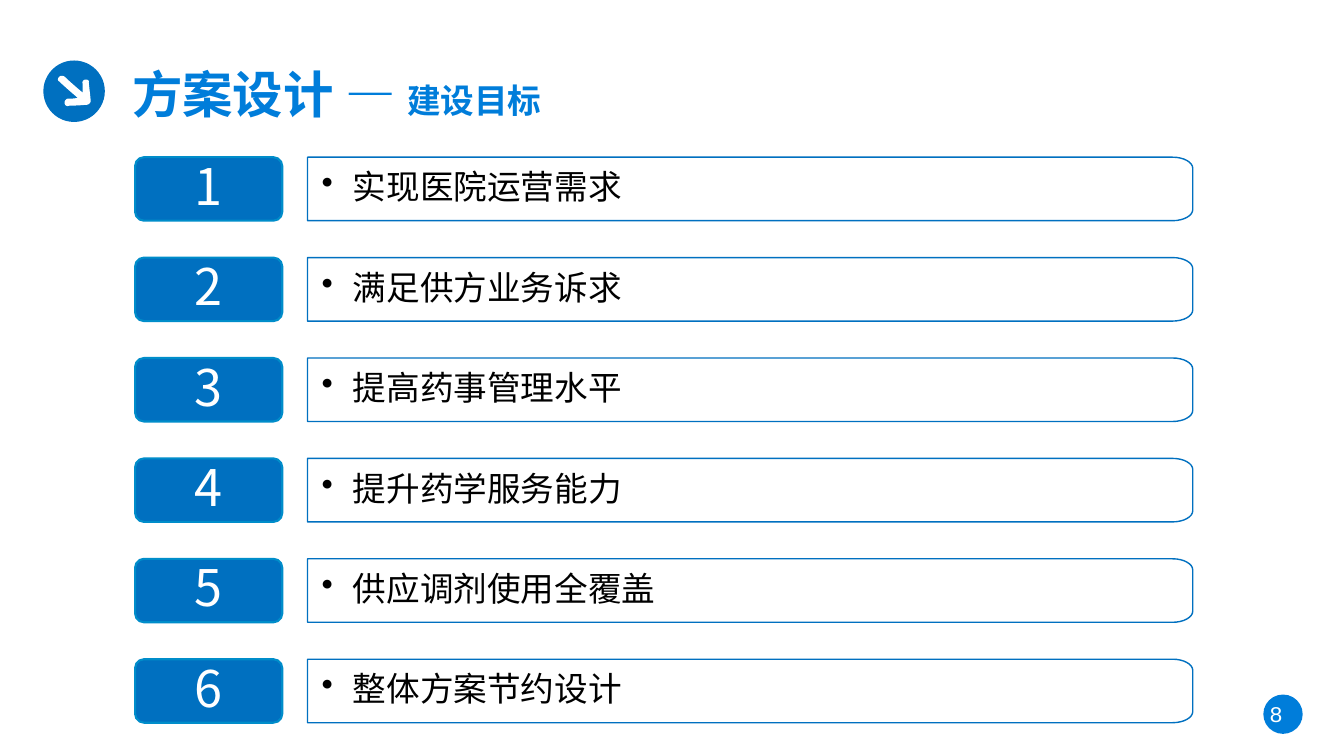
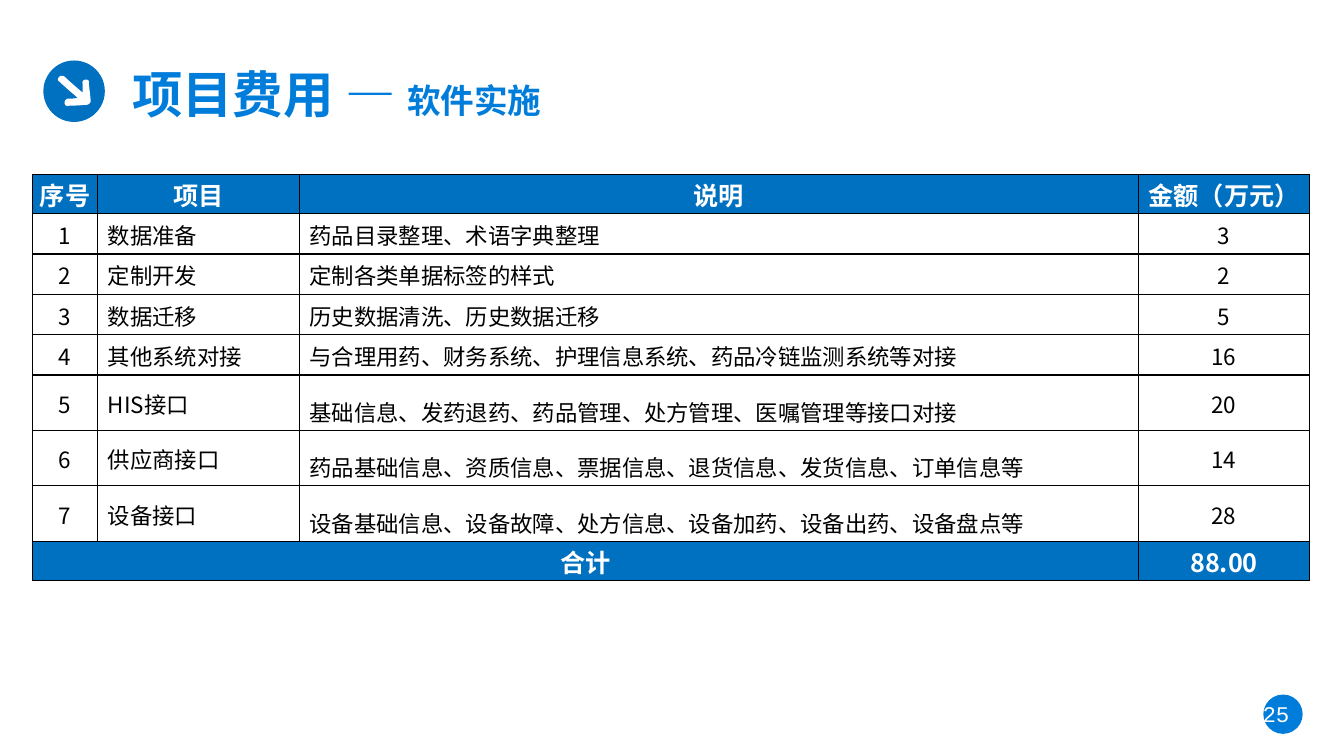
from lxml import etree
from pptx import Presentation
from pptx.dml.color import RGBColor
from pptx.enum import shapes as kinds, text as modes
from pptx.oxml.ns import qn
from pptx.util import Inches, Pt

BLUE, SKY, EDGE = "0070C0", "007DDA", "008DCA"
WHITE, BLACK = "FFFFFF", "000000"
SANS, HEAD, MONO = "Noto Sans CJK SC", "Calibri", "Courier New"
LEFT, MID = modes.PP_ALIGN.LEFT, modes.PP_ALIGN.CENTER
STEPS = 8

ARROW = [
    (0.82, 0.92), (0.82, 0.92, 0.69, 0.81, 0.64, 0.76),
    (0.62, 0.75, 0.6, 0.75, 0.59, 0.76), (0.57, 0.78, 0.57, 0.8, 0.59, 0.81),
    (0.64, 0.86, 0.77, 0.97, 0.77, 0.97), (0.77, 0.97, 0.75, 0.98, 0.67, 0.98),
    (0.66, 0.98, 0.64, 1, 0.64, 1.02), (0.64, 1.04, 0.66, 1.06, 0.68, 1.05),
    (0.74, 1.05, 0.86, 1.04, 0.86, 1.04), (0.88, 1.04, 0.9, 1.02, 0.9, 1),
    (0.9, 1, 0.89, 0.9, 0.88, 0.82), (0.89, 0.8, 0.87, 0.79, 0.85, 0.79),
    (0.83, 0.79, 0.81, 0.81, 0.82, 0.83), (0.82, 0.89, 0.82, 0.92, 0.82, 0.92),
]
GOALS = ["实现医院运营需求", "满足供方业务诉求", "提高药事管理水平",
         "提升药学服务能力", "供应调剂使用全覆盖", "整体方案节约设计"]
COSTS = [
    ("序号", "项目", "说明", "金额（万元）"),
    ("1", "数据准备", "药品目录整理、术语字典整理", "3"),
    ("2", "定制开发", "定制各类单据标签的样式", "2"),
    ("3", "数据迁移", "历史数据清洗、历史数据迁移", "5"),
    ("4", "其他系统对接", "与合理用药、财务系统、护理信息系统、药品冷链监测系统等对接", "16"),
    ("5", "HIS接口", "基础信息、发药退药、药品管理、处方管理、医嘱管理等接口对接", "20"),
    ("6", "供应商接口", "药品基础信息、资质信息、票据信息、退货信息、发货信息、订单信息等", "14"),
    ("7", "设备接口", "设备基础信息、设备故障、处方信息、设备加药、设备出药、设备盘点等", "28"),
    ("合计", "", "", "88.00"),
]
WIDTHS = [0.65, 2, 8.32, 1.7]
HEIGHTS = [0.39] + [0.4] * 4 + [0.55] * 3 + [0.39]


def color(code):
    return RGBColor.from_string(code)


def box(*lengths):
    return [Inches(n) for n in lengths]


def write(para, text, size=16, font=SANS, ink=BLACK, bold=False, align=LEFT, space=None):
    """Append one formatted run to a paragraph."""
    para.alignment = align
    if space:
        para.line_spacing = space
    run = para.add_run()
    run.text = text
    face = run.font
    face.name, face.size, face.bold = font, Pt(size), bold
    face.color.rgb = color(ink)
    east = etree.SubElement(run._r.get_or_add_rPr(), qn("a:ea"))
    east.set("typeface", SANS)


def inset(frame, left, top, right, bottom):
    frame.margin_left, frame.margin_top = Inches(left), Inches(top)
    frame.margin_right, frame.margin_bottom = Inches(right), Inches(bottom)


def paint(shape, fill, line=None, width=1):
    shape.shadow.inherit = False
    shape.fill.solid()
    shape.fill.fore_color.rgb = color(fill)
    if line:
        shape.line.color.rgb = color(line)
        shape.line.width = Pt(width)
    else:
        shape.line.fill.background()


def curve(start, seg):
    """Points along a cubic curve whose two handles and end are in seg."""
    ends = [start, seg[:2], seg[2:4], seg[4:]]
    for i in range(1, STEPS + 1):
        t = i / STEPS
        parts = [(1 - t) ** 3, 3 * t * (1 - t) ** 2, 3 * t * t * (1 - t), t ** 3]
        yield tuple(sum(w * p[axis] for w, p in zip(parts, ends)) for axis in (0, 1))


def outline(slide, segs):
    """Closed freeform; a pair is a line end, six numbers are a curve."""
    dots = [segs[0]]
    for seg in segs[1:]:
        dots += [seg] if len(seg) == 2 else list(curve(dots[-1], seg))
    dots = [box(*dot) for dot in dots]
    pen = slide.shapes.build_freeform(*dots[0], scale=1.0)
    pen.add_line_segments(dots[1:], close=True)
    return pen.convert_to_shape()


def disc(slide, left, top, size, fill):
    shape = slide.shapes.add_shape(kinds.MSO_SHAPE.OVAL, *box(left, top, size, size))
    paint(shape, fill)


def frame_slide(deck, title, topic, number):
    """Add a slide with its title, arrow badge and page number."""
    slide = deck.slides.add_slide(deck.slide_layouts[5])
    disc(slide, 0.43, 0.6, 0.61, BLUE)
    paint(outline(slide, ARROW), WHITE)

    disc(slide, 12.53, 6.89, 0.39, SKY)
    page = slide.shapes.add_textbox(*box(12.3, 6.9, 0.71, 0.37)).text_frame
    page.word_wrap = True
    write(page.paragraphs[0], number, font=MONO, ink=WHITE, align=MID)

    head = slide.shapes.title
    head.left, head.top, head.width, head.height = box(1.21, 0.58, 6.7, 0.71)
    frame = head.text_frame
    frame.auto_size = modes.MSO_AUTO_SIZE.NONE
    frame.vertical_anchor = modes.MSO_ANCHOR.TOP
    for text, size in ((title + " — ", 36), (topic, 24)):
        write(frame.paragraphs[0], text, size=size, font=HEAD, ink=SKY, bold=True)
    return slide


def bullet(para, indent):
    props = para._p.get_or_add_pPr()
    props.set("marL", str(Inches(indent)))
    props.set("indent", str(-Inches(indent)))
    etree.SubElement(props, qn("a:buChar")).set("char", "•")


def goal_bar(slide, left, top, width, height, text):
    """Bar with its two right corners rounded."""
    right, low = left + width, top + height
    rx, ry = 0.2, 0.11
    bar = outline(slide, [
        (left, top), (right - rx, top),
        (right - rx * 0.45, top, right, top + ry * 0.45, right, top + ry),
        (right, low - ry),
        (right, low - ry * 0.45, right - rx * 0.45, low, right - rx, low),
        (left, low),
    ])
    paint(bar, WHITE, BLUE)
    frame = bar.text_frame
    frame.word_wrap = True
    frame.vertical_anchor = modes.MSO_ANCHOR.MIDDLE
    inset(frame, 0.14, 0.11, 0.17, 0.11)
    bullet(frame.paragraphs[0], 0.31)
    write(frame.paragraphs[0], text, size=24, space=0.9)


def goal_tag(slide, left, top, width, height, text):
    tag = slide.shapes.add_shape(kinds.MSO_SHAPE.ROUNDED_RECTANGLE,
                                 *box(left, top, width, height))
    tag.adjustments[0] = 0.14
    paint(tag, BLUE, EDGE, 1.5)
    frame = tag.text_frame
    frame.vertical_anchor = modes.MSO_ANCHOR.MIDDLE
    inset(frame, 0.23, 0.14, 0.23, 0.14)
    write(frame.paragraphs[0], text, size=36, ink=WHITE, align=MID, space=0.9)


def goal_list(slide, left, top, width, height):
    tall, tag = 0.63, 1.46
    shift = tag + 0.25
    pitch = (height - tall) / (len(GOALS) - 1)
    for i, goal in enumerate(GOALS):
        y = top + i * pitch
        goal_bar(slide, left + shift, y, width - shift, tall, goal)
        goal_tag(slide, left, y, tag, tall, str(i + 1))


def border(cell):
    props = cell._tc.get_or_add_tcPr()
    for side in ("a:lnL", "a:lnR", "a:lnT", "a:lnB"):
        line = etree.SubElement(props, qn(side), w=str(Pt(1)))
        fill = etree.SubElement(line, qn("a:solidFill"))
        etree.SubElement(fill, qn("a:srgbClr"), val=BLACK)


def cost_cell(cell, text, col, band, tall):
    border(cell)
    cell.fill.solid()
    cell.fill.fore_color.rgb = color(BLUE if band else WHITE)
    cell.vertical_anchor = modes.MSO_ANCHOR.MIDDLE
    if band:
        inset(cell, 0.01, 0.01, 0.01, 0)
    else:
        inset(cell, 0.1, 0.04, 0.1, 0.02)
    if text:
        write(cell.text_frame.paragraphs[0], text, size=18 if band else 16,
              ink=WHITE if band else BLACK, bold=band,
              align=MID if band or col in (0, 3) else LEFT,
              space=1.5 if tall and col == 2 else None)


def cost_table(slide, left, top):
    last = len(COSTS) - 1
    table = slide.shapes.add_table(
        len(COSTS), len(WIDTHS), *box(left, top, sum(WIDTHS), sum(HEIGHTS))).table
    table.first_row = table.horz_banding = False
    for col, width in zip(table.columns, WIDTHS):
        col.width = Inches(width)
    for r, texts in enumerate(COSTS):
        table.rows[r].height = Inches(HEIGHTS[r])
        for c, text in enumerate(texts):
            cost_cell(table.cell(r, c), text, c, r in (0, last), HEIGHTS[r] > 0.5)
    table.cell(last, 0).merge(table.cell(last, 2))


def main():
    deck = Presentation()
    deck.slide_width, deck.slide_height = box(13.33, 7.5)
    goals = frame_slide(deck, "方案设计", "建设目标", "8")
    goal_list(goals, 1.34, 1.56, 10.49, 5.61)
    costs = frame_slide(deck, "项目费用", "软件实施", "25")
    cost_table(costs, 0.32, 1.73)
    deck.save("out.pptx")


if __name__ == "__main__":
    main()
